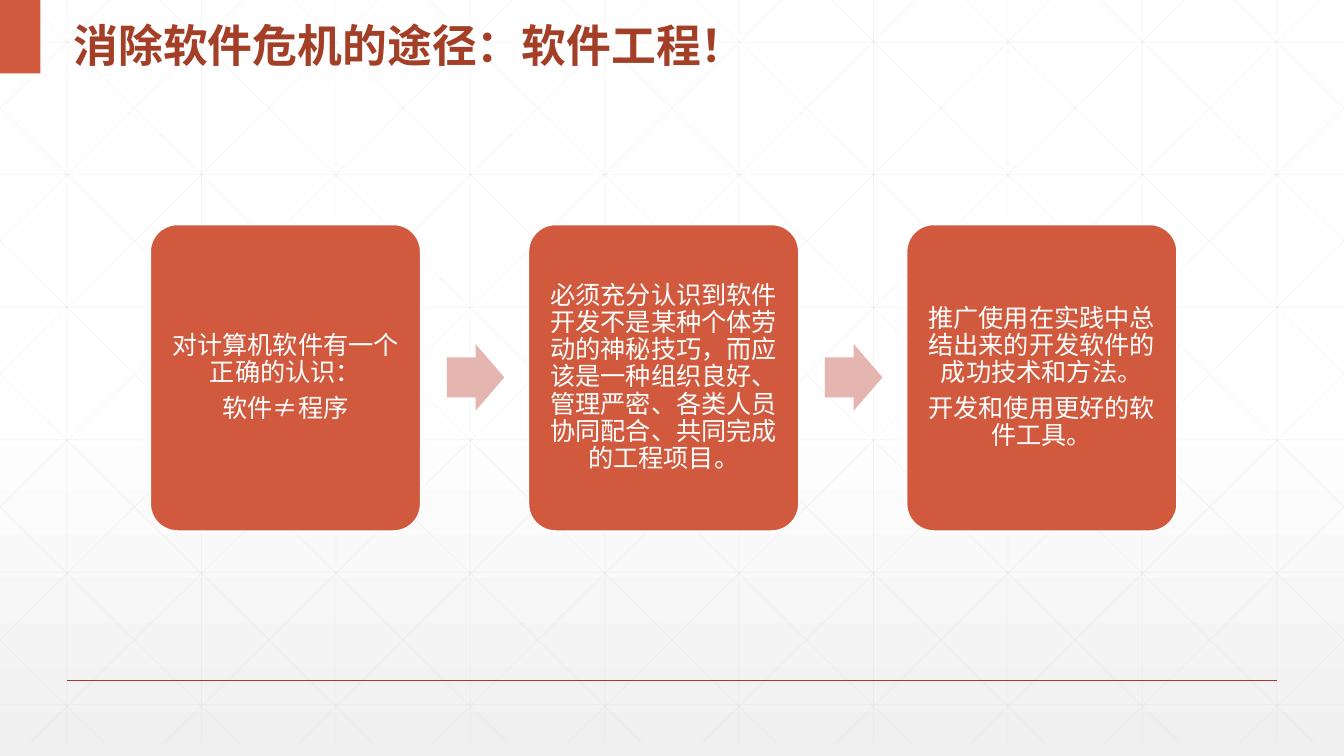
from lxml import etree
from pptx import Presentation
from pptx.dml.color import RGBColor
from pptx.enum import shapes, text
from pptx.oxml.ns import qn
from pptx.util import Cm, Pt


def paint(color, code):
    color.rgb = RGBColor.from_string(code)


def rule(ends, code, width):
    line = slide.shapes.add_connector(shapes.MSO_CONNECTOR.STRAIGHT, *[Cm(v) for v in ends])
    paint(line.line.color, code)
    line.line.width = Pt(width)
    etree.SubElement(line._element.spPr, qn("a:effectLst"))
    return line


wide, low = 33.87, 18.72
pitch, run = 3.387, 18.93

deck = Presentation()
deck.slide_width, deck.slide_height = Cm(wide), Cm(19.05)
slide = deck.slides.add_slide(deck.slide_layouts[5])

back = slide.background.fill
back.gradient()
back.gradient_angle = 270
for stop, place, code in zip(back.gradient_stops, (0.53, 1), ("FFFFFF", "F0F0F0")):
    stop.position = place
    paint(stop.color, code)

grid = [(1.69 + pitch * i, 0, 1.69 + pitch * i, low) for i in range(10)]
grid += [(0, 1.06 + 3.34 * i, wide, 1.06 + 3.34 * i) for i in range(6)]
for i in range(-5, 10):
    top = 0.63 + pitch * i
    left, right = max(top, 0), min(top + run, wide)
    start, end = [(x - top) * low / run for x in (left, right)]
    grid += [(left, start, right, end), (wide - left, start, wide - right, end)]

for ends in grid:
    line = rule(ends, "D9D9D9", 0.5)
    tint = line._element.spPr.find(".//" + qn("a:srgbClr"))
    etree.SubElement(tint, qn("a:alpha"), val="25000")

rule((1.69, 17.15, 32.18, 17.15), "A43F27", 1)

tab = slide.shapes.add_shape(shapes.MSO_SHAPE.RECTANGLE, 0, 0, Cm(1.02), Cm(1.85))
tab.shadow.inherit = False
tab.fill.solid()
paint(tab.fill.fore_color, "D15A3E")
tab.line.fill.background()

title = slide.shapes.title
title.left, title.top, title.width, title.height = Cm(1.6), 0, Cm(18.08), Cm(1.85)
title.text_frame.text = "消除软件危机的途径：软件工程！"
title.text_frame.auto_size = text.MSO_AUTO_SIZE.NONE
title.text_frame.vertical_anchor = text.MSO_ANCHOR.MIDDLE
head = title.text_frame.paragraphs[0]
head.alignment = text.PP_ALIGN.LEFT
head.line_spacing = 1.3
head.font.size, head.font.bold, head.font.name = Pt(32), True, "Noto Sans CJK SC"
paint(head.font.color, "A43F27")
slide.shapes._spTree.append(title._element)

paras = [head]
steps = [
    ["对计算机软件有一个正确的认识：", "软件≠程序"],
    ["必须充分认识到软件开发不是某种个体劳动的神秘技巧，而应该是一种组织良好、管理严密、各类人员协同配合、共同完成的工程项目。"],
    ["推广使用在实践中总结出来的开发软件的成功技术和方法。", "开发和使用更好的软件工具。"],
]
for i, words in enumerate(steps):
    shift = 9.53 * i
    card = slide.shapes.add_shape(
        shapes.MSO_SHAPE.ROUNDED_RECTANGLE, Cm(3.79 + shift), Cm(5.66), Cm(6.81), Cm(7.72))
    card.adjustments[0] = 0.1
    card.shadow.inherit = False
    card.fill.solid()
    paint(card.fill.fore_color, "D15A3E")
    paint(card.line.color, "FFFFFF")
    card.line.width = Pt(1)
    frame = card.text_frame
    frame.word_wrap = True
    frame.vertical_anchor = text.MSO_ANCHOR.MIDDLE
    frame.margin_left = frame.margin_right = frame.margin_top = frame.margin_bottom = Cm(0.18)
    frame.text = "\n".join(words)
    for para in frame.paragraphs:
        para.alignment = text.PP_ALIGN.CENTER
        para.line_spacing = 0.9
        para.space_after = Pt(6.3)
        para.font.size, para.font.name = Pt(18), "Arial"
        paint(para.font.color, "FFFFFF")
        paras.append(para)
    if i < len(steps) - 1:
        arrow = slide.shapes.add_shape(
            shapes.MSO_SHAPE.RIGHT_ARROW, Cm(11.26 + shift), Cm(8.67), Cm(1.45), Cm(1.68))
        arrow.adjustments[0] = 0.6
        arrow.shadow.inherit = False
        arrow.fill.solid()
        paint(arrow.fill.fore_color, "E5B5AF")
        arrow.line.fill.background()

for para in paras:
    style = para._p.pPr.find(qn("a:defRPr"))
    etree.SubElement(style, qn("a:ea"), typeface="Noto Sans CJK SC")

deck.save("out.pptx")
